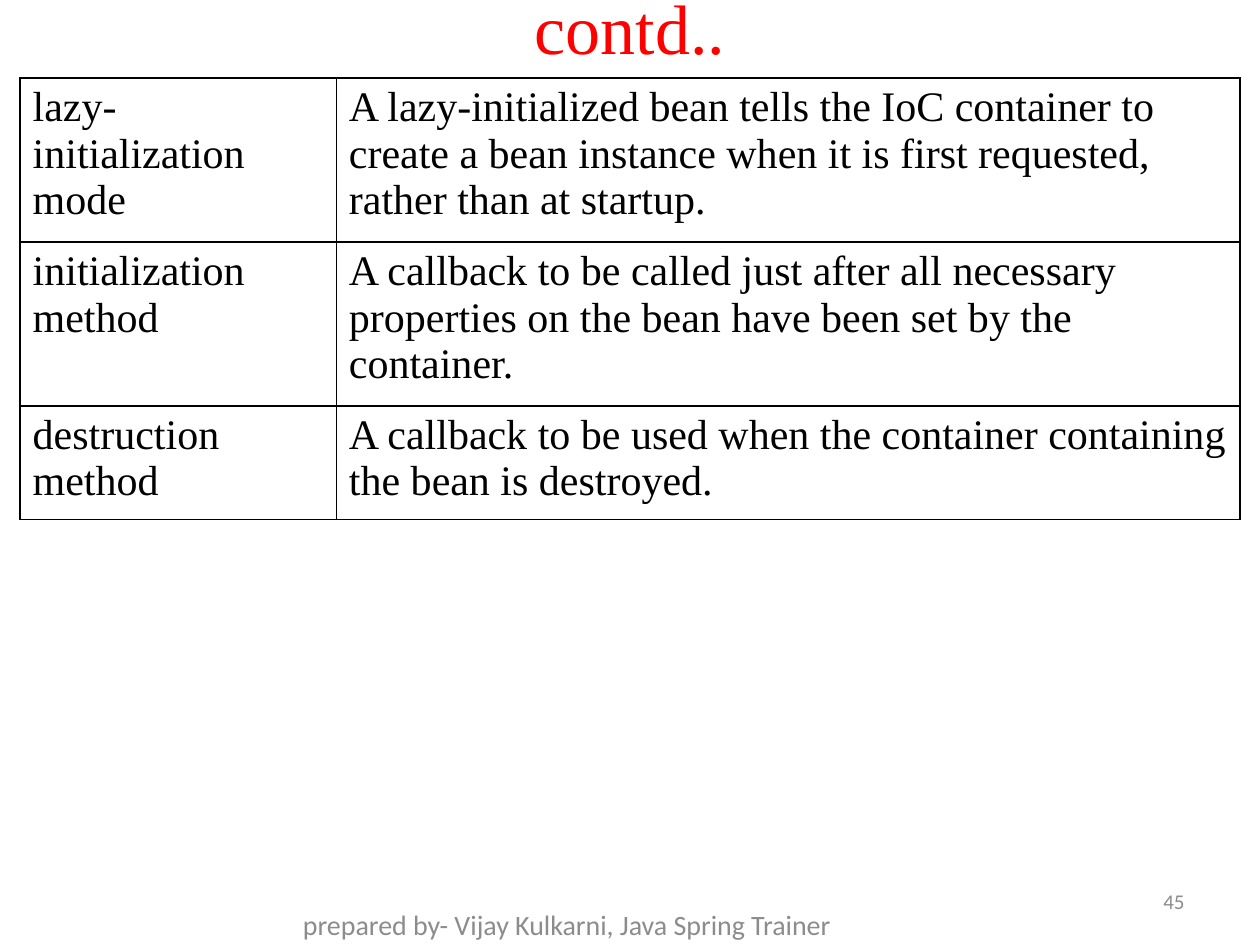
from dataclasses import dataclass

from lxml.etree import SubElement
from pptx import Presentation
from pptx.dml.color import RGBColor
from pptx.enum.text import MSO_ANCHOR as Anchor, PP_ALIGN as Align
from pptx.oxml.ns import qn
from pptx.util import Inches, Pt


@dataclass(frozen=True)
class Theme:
    serif: str = "Times New Roman"
    sans: str = "Calibri"
    red: str = "FF0000"
    black: str = "000000"
    gray: str = "8C8C8C"
    title_size: int = 40
    body_size: int = 24
    footer_size: int = 16
    number_size: int = 12
    border_width: int = 1


THEME = Theme()

BEAN_PROPERTIES = [
    ("lazy-initialization mode",
     "A lazy-initialized bean tells the IoC container to create a bean instance "
     "when it is first requested, rather than at startup."),
    ("initialization method",
     "A callback to be called just after all necessary properties on the bean "
     "have been set by the container."),
    ("destruction method",
     "A callback to be used when the container containing the bean is destroyed."),
]
COLUMN_WIDTHS = (2.51, 7.17)
MIN_ROW_HEIGHT = 0.41


def style(paragraph, family, size, color):
    font = paragraph.font
    font.name = family
    font.size = Pt(size)
    font.color.rgb = RGBColor.from_string(color)


def add_label(slide, text, bounds, align, family, size, color):
    frame = slide.shapes.add_textbox(*map(Inches, bounds)).text_frame
    frame.word_wrap = True
    frame.vertical_anchor = Anchor.MIDDLE
    frame.text = text
    paragraph = frame.paragraphs[0]
    paragraph.alignment = align
    style(paragraph, family, size, color)


def add_borders(cell):
    properties = cell._tc.get_or_add_tcPr()
    for side in ("lnL", "lnR", "lnT", "lnB"):
        line = SubElement(properties, qn(f"a:{side}"), w=str(Pt(THEME.border_width)))
        fill = SubElement(line, qn("a:solidFill"))
        SubElement(fill, qn("a:srgbClr"), val=THEME.black)


def add_property_table(slide, left, top):
    """Rows start at the minimum height and grow to fit their text."""
    row_count = len(BEAN_PROPERTIES)
    table = slide.shapes.add_table(
        row_count, len(COLUMN_WIDTHS), Inches(left), Inches(top),
        Inches(sum(COLUMN_WIDTHS)), Inches(row_count * MIN_ROW_HEIGHT)).table
    table.first_row = table.horz_banding = False
    for column, width in zip(table.columns, COLUMN_WIDTHS):
        column.width = Inches(width)
    for row, texts in zip(table.rows, BEAN_PROPERTIES):
        for cell, text in zip(row.cells, texts):
            cell.text = text
            style(cell.text_frame.paragraphs[0], THEME.serif, THEME.body_size, THEME.black)
            add_borders(cell)
            cell.fill.background()


def main():
    deck = Presentation()
    deck.slide_width, deck.slide_height = Inches(10), Inches(7.5)
    slide = deck.slides.add_slide(deck.slide_layouts[6])

    add_label(slide, "contd..", (0, 0, 10, 0.42), Align.CENTER,
              THEME.serif, THEME.title_size, THEME.red)
    add_property_table(slide, 0.16, 0.62)
    add_label(slide, "45", (7.17, 6.95, 2.33, 0.4), Align.RIGHT,
              THEME.sans, THEME.number_size, THEME.gray)
    add_label(slide, "prepared by- Vijay Kulkarni, Java Spring Trainer",
              (1.5, 7.17, 6, 0.33), Align.CENTER,
              THEME.sans, THEME.footer_size, THEME.gray)
    deck.save("out.pptx")


if __name__ == "__main__":
    main()
